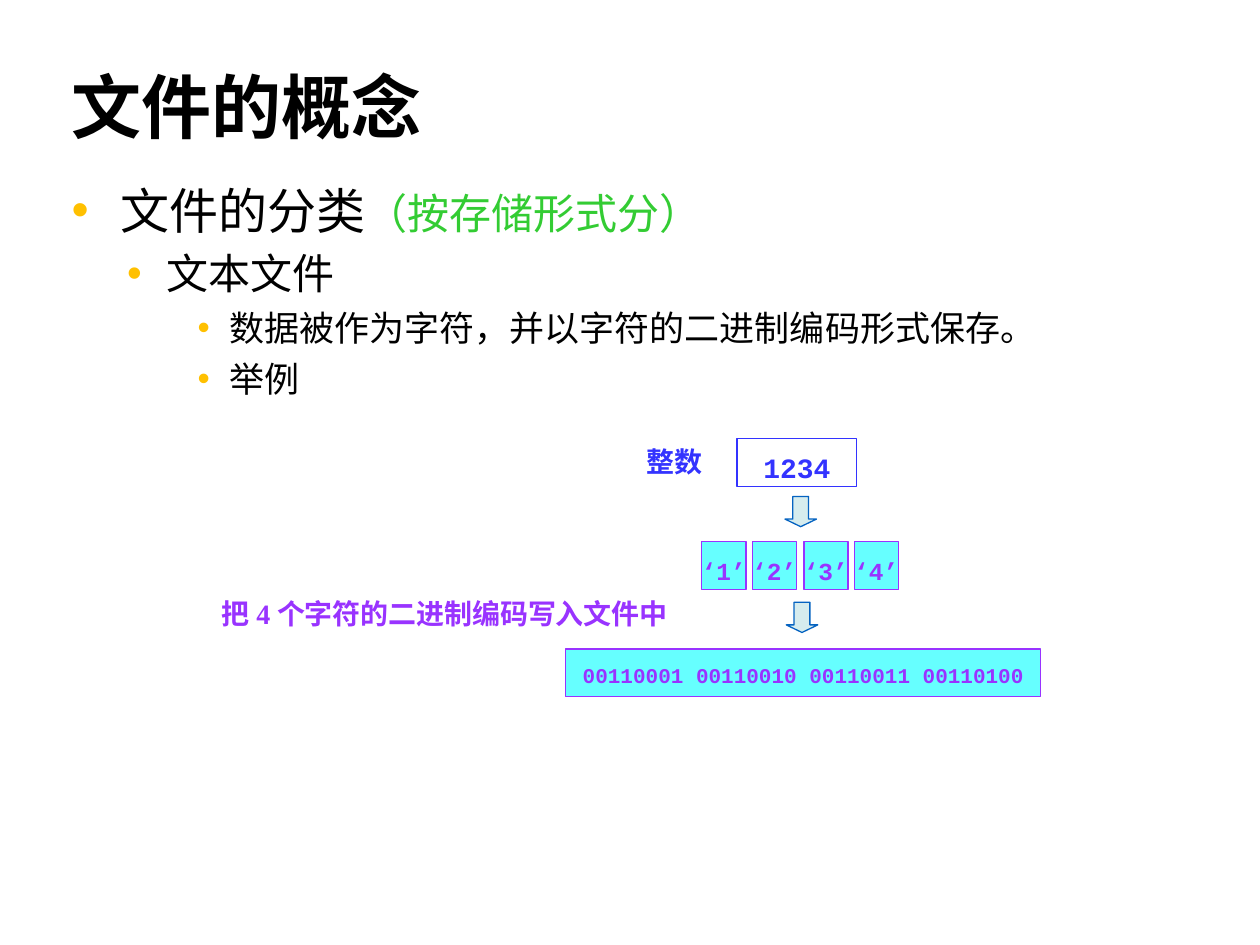
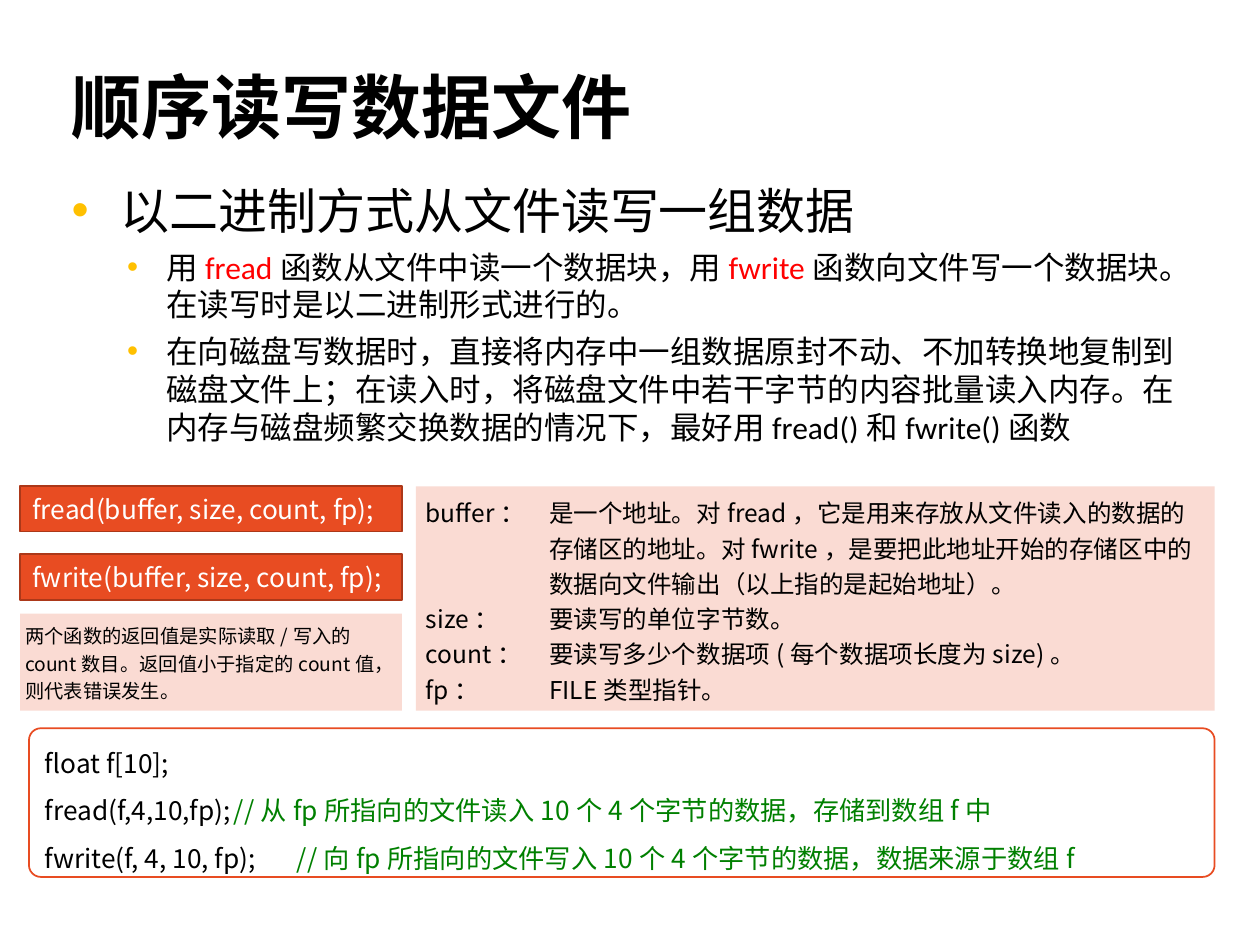
from lxml import etree
from pptx import Presentation
from pptx.dml.color import RGBColor
from pptx.enum.shapes import MSO_SHAPE
from pptx.enum.text import MSO_ANCHOR, PP_ALIGN
from pptx.oxml.ns import qn
from pptx.util import Pt

RECTANGLE, ROUNDED = MSO_SHAPE.RECTANGLE, MSO_SHAPE.ROUNDED_RECTANGLE
DOWN_ARROW = MSO_SHAPE.DOWN_ARROW
TOP, MIDDLE, BOTTOM = MSO_ANCHOR.TOP, MSO_ANCHOR.MIDDLE, MSO_ANCHOR.BOTTOM
LEFT, CENTER, RIGHT = PP_ALIGN.LEFT, PP_ALIGN.CENTER, PP_ALIGN.RIGHT
JUSTIFY = PP_ALIGN.JUSTIFY

PX = 9144  # EMU, 100 px to the inch
SLIDE_SIZE = (1000, 750)
TITLE_BOX = (47, 47, 906, 75)
BODY_BOX = (47, 138, 906, 551)
BODY_INDENTS = [(39, -39), (75, -31), (125, -25)]
INSETS = (10, 5, 10, 5)
LINE_HEIGHT = 1.2

SANS, SANS_JP = "Noto Sans CJK SC", "Noto Sans CJK JP"
CALIBRI, TIMES, MONO = "Calibri", "Times New Roman", "Courier New"
COLORS = {
    "text": "000000", "white": "FFFFFF", "bullet": "FFC000",
    "green": "33CC33", "red": "FF0000", "comment": "008000",
    "blue": "3333FF", "purple": "9933FF", "cyan": "66FFFF",
    "arrow": "D6ECEE", "arrow line": "0563C1",
    "orange": "E84C22", "dark orange": "AC3819", "pale orange": "FADBD3",
}

# Body items: level, size, font, runs; a run is text or (text, colour[, size]).
CONCEPT_TITLE = "文件的概念"
CONCEPT_BODY = [
    (0, 28, SANS, ["文件的分类", ("（按存储形式分）", "green", 24)]),
    (1, 24, CALIBRI, ["文本文件"]),
    (2, 20, CALIBRI, ["数据被作为字符，并以字符的二进制编码形式保存。"]),
    (2, 20, CALIBRI, ["举例"]),
]
DIGITS = ["‘1’", "‘2’", "‘3’", "‘4’"]
# Cells: box, text, size, ink, fill, top inset
CELLS = [
    ((585, 348, 95, 38), "1234", 16, "blue", "white", 8),
    *[((557 + round(40.4 * i), 430, 35, 38), digit, 14, "purple", "cyan", 8)
      for i, digit in enumerate(DIGITS)],
    ((449, 515, 377, 38), "00110001 00110010 00110011 00110100", 12,
     "purple", "cyan", 4),
]
STEP_LABELS = [
    ((452, 343, 115, 42), "整数", "blue"),
    ((160, 463, 380, 42), "把4个字符的二进制编码写入文件中", "purple"),
]
ARROWS = [(623, 394, 25, 24), (624, 478, 25, 24)]

BLOCK_TITLE = "顺序读写数据文件"
BLOCK_BODY = [
    (0, 28, SANS, ["以二进制方式从文件读写一组数据"]),
    (1, 18, CALIBRI, [
        "用", ("fread", "red"), "函数从文件中读一个数据块，用", ("fwrite", "red"),
        "函数向文件写一个数据块。在读写时是以二进制形式进行的。"]),
    (1, 18, CALIBRI, [
        "在向磁盘写数据时，直接将内存中一组数据原封不动、不加转换地复制到磁盘文件上；"
        "在读入时，将磁盘文件中若干字节的内容批量读入内存。"
        "在内存与磁盘频繁交换数据的情况下，最好用fread()和fwrite()函数"]),
]
CALLS = [
    ((16, 386, 303, 36), "fread(buffer, size, count, fp);"),
    ((16, 440, 303, 36), "fwrite(buffer, size, count, fp);"),
]
RETURN_BOX = (16, 487, 303, 77)
RETURN_NOTE = ("两个函数的返回值是实际读取/写入的count数目。"
               "返回值小于指定的count值，则代表错误发生。")
PARAMETER_BOX = (330, 386, 634, 178)
PARAMETERS = [
    ("buffer", "是一个地址。对fread，它是用来存放从文件读入的数据的存储区的地址。"
               "对fwrite，是要把此地址开始的存储区中的数据向文件输出（以上指的是起始地址）。"),
    ("size", "要读写的单位字节数。"),
    ("count", "要读写多少个数据项(每个数据项长度为size)。"),
    ("fp", "FILE类型指针。"),
]
EXAMPLE_BOX = (23, 578, 941, 118)
EXAMPLE = [
    ["float f[10];"],
    ["fread(f,4,10,fp);\t",
     ("//从fp所指向的文件读入10个4个字节的数据，存储到数组f中", "comment")],
    ["fwrite(f, 4, 10, fp);\t",
     ("//向fp所指向的文件写入10个4个字节的数据，数据来源于数组f", "comment")],
]


def rgb(name):
    return RGBColor.from_string(COLORS[name])


def emu(lengths):
    return [length * PX for length in lengths]


def set_frame(shape, anchor=TOP, insets=INSETS, wrap=True):
    frame = shape.text_frame
    frame.word_wrap = wrap
    frame.vertical_anchor = anchor
    (frame.margin_left, frame.margin_top,
     frame.margin_right, frame.margin_bottom) = emu(insets)
    return frame


def add_text_box(slide, box, **frame_options):
    return set_frame(slide.shapes.add_textbox(*emu(box)), **frame_options)


def add_panel(slide, kind, box, fill, line=None, width=1):
    shape = slide.shapes.add_shape(kind, *emu(box))
    shape.shadow.inherit = False
    shape.fill.solid()
    shape.fill.fore_color.rgb = rgb(fill)
    if line:
        shape.line.color.rgb = rgb(line)
        shape.line.width = Pt(width)
    else:
        shape.line.fill.background()
    return shape


def write(frame, runs, size, font=SANS, color="text", bold=False, align=LEFT,
          leading=None, before=0, indent=None, bullet=False):
    """Add a paragraph; leading is the line height in points."""
    first = frame.paragraphs[0]
    paragraph = frame.add_paragraph() if first.runs else first
    properties = paragraph._p.get_or_add_pPr()
    if indent:
        margin, hanging = emu(indent)
        properties.set("marL", str(margin))
        properties.set("indent", str(hanging))
    if bullet:
        bullet_color = etree.SubElement(properties, qn("a:buClr"))
        etree.SubElement(bullet_color, qn("a:srgbClr"), val=COLORS["bullet"])
        etree.SubElement(properties, qn("a:buFont"), typeface="Arial")
        etree.SubElement(properties, qn("a:buChar"), char="•")
    paragraph.alignment = align
    if leading:
        paragraph.line_spacing = Pt(leading)
    if paragraph is not first:
        paragraph.space_before = Pt(before)

    paragraph.font.size = Pt(size)
    paragraph.font.bold = bold
    paragraph.font.color.rgb = rgb(color)
    paragraph.font.name = font
    east_asian = font if font == SANS_JP else SANS
    etree.SubElement(properties.find(qn("a:defRPr")), qn("a:ea"),
                     typeface=east_asian)
    for item in runs:
        text, *style = (item,) if isinstance(item, str) else item
        run = paragraph.add_run()
        run.text = text
        if style:
            run.font.color.rgb = rgb(style[0])
        if len(style) > 1:
            run.font.size = Pt(style[1])


def add_content_slide(presentation, title, title_font, body):
    slide = presentation.slides.add_slide(presentation.slide_layouts[6])
    write(add_text_box(slide, TITLE_BOX, anchor=BOTTOM), [title], 40,
          title_font, bold=True, leading=40 * LINE_HEIGHT * 0.9)
    frame = add_text_box(slide, BODY_BOX)
    for level, size, font, runs in body:
        write(frame, runs, size, font, leading=size * LINE_HEIGHT, before=5,
              indent=BODY_INDENTS[level], bullet=True)
    return slide


def add_concept_slide(presentation):
    slide = add_content_slide(presentation, CONCEPT_TITLE, SANS_JP, CONCEPT_BODY)
    for box, text, size, ink, fill, top_inset in CELLS:
        cell = add_panel(slide, RECTANGLE, box, fill, ink, 0.75)
        frame = set_frame(cell, MIDDLE, (0, top_inset, 0, 0), wrap=False)
        write(frame, [text], size, MONO, ink, bold=True, align=CENTER)
    for box, text, ink in STEP_LABELS:
        write(add_text_box(slide, box), [text], 16, TIMES, ink, bold=True,
              align=RIGHT, leading=23)
    for box in ARROWS:
        arrow = add_panel(slide, DOWN_ARROW, box, "arrow", "arrow line", 0.75)
        arrow.adjustments[0], arrow.adjustments[1] = 0.5, 0.25


def add_block_slide(presentation):
    slide = add_content_slide(presentation, BLOCK_TITLE, CALIBRI, BLOCK_BODY)
    for box, call in CALLS:
        panel = add_panel(slide, RECTANGLE, box, "orange", "dark orange")
        write(set_frame(panel, MIDDLE), [call], 15, color="white",
              align=JUSTIFY, leading=15 * LINE_HEIGHT)

    panel = add_panel(slide, RECTANGLE, PARAMETER_BOX, "pale orange")
    frame = set_frame(panel, insets=(8, 5, 8, 5))
    for name, meaning in PARAMETERS:
        write(frame, [f"{name}：\t{meaning}"], 14, indent=(98, -98),
              leading=14 * LINE_HEIGHT * 1.2)

    panel = add_panel(slide, RECTANGLE, RETURN_BOX, "pale orange")
    write(set_frame(panel, insets=(4, 5, 4, 5)), [RETURN_NOTE], 11,
          leading=11 * LINE_HEIGHT * 1.2)

    panel = add_panel(slide, ROUNDED, EXAMPLE_BOX, "white", "orange")
    panel.adjustments[0] = 0.08
    frame = set_frame(panel, MIDDLE)
    for runs in EXAMPLE:
        write(frame, runs, 15, align=JUSTIFY, leading=15 * LINE_HEIGHT * 1.5)


def main():
    presentation = Presentation()
    presentation.slide_width, presentation.slide_height = emu(SLIDE_SIZE)
    add_concept_slide(presentation)
    add_block_slide(presentation)
    presentation.save("out.pptx")


if __name__ == "__main__":
    main()
